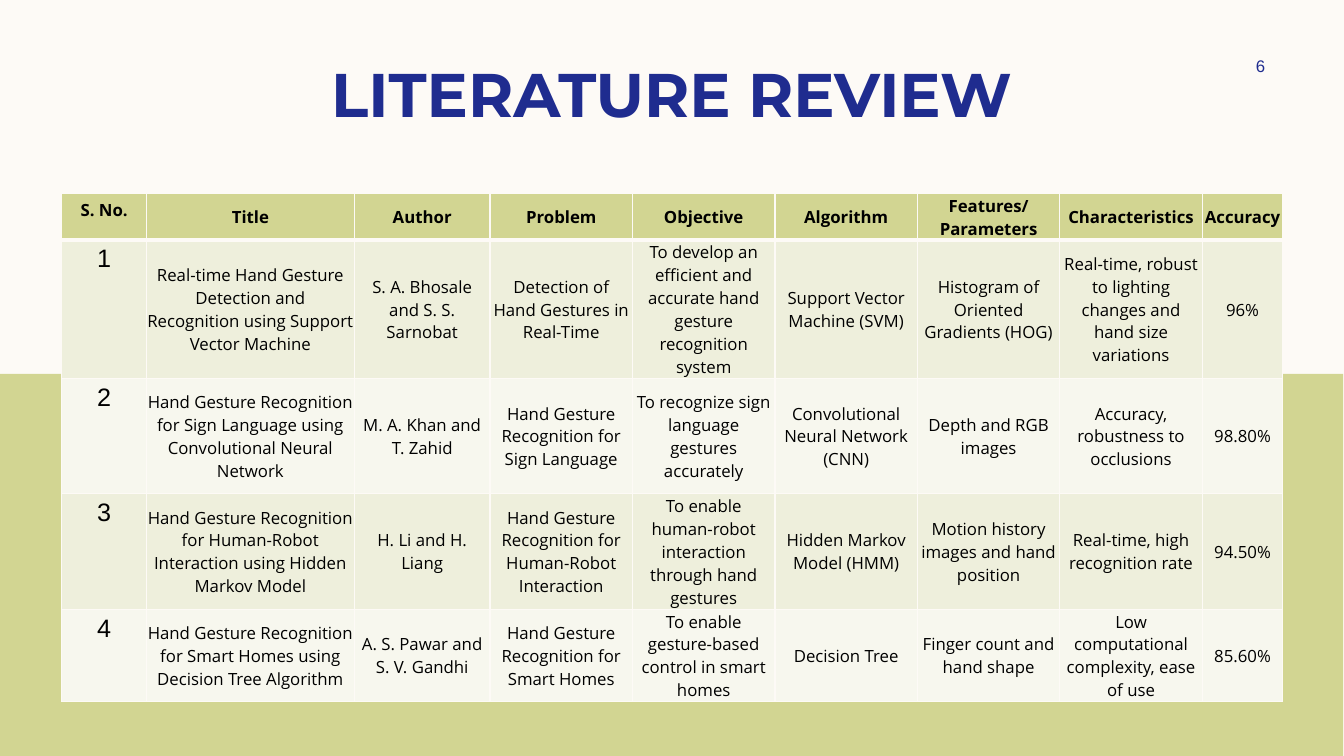
"""Build the literature review slide with its comparison table."""
from lxml import etree
from pptx import Presentation
from pptx import util as u
from pptx.dml import color
from pptx.enum import shapes, text
from pptx.oxml import ns

CREAM, OLIVE, NAVY, BLACK = "FDFAF6", "D2D592", "1F2C8F", "000000"
BANDS = ["EEEFDC", "F7F7EE"]
COLUMN_WIDTHS = [2.13, 5.24, 3.42] + [3.59] * 5 + [2.03]
ROW_HEIGHTS = [1.17, 3.48, 2.91, 2.91, 2.33]
HEADINGS = ["S. No.", "Title", "Author", "Problem", "Objective", "Algorithm",
            "Features/Parameters", "Characteristics", "Accuracy"]
STUDIES = [
    ["Real-time Hand Gesture Detection and Recognition using Support Vector Machine",
     "S. A. Bhosale and S. S. Sarnobat",
     "Detection of Hand Gestures in Real-Time",
     "To develop an efficient and accurate hand gesture recognition system",
     "Support Vector Machine (SVM)",
     "Histogram of Oriented Gradients (HOG)",
     "Real-time, robust to lighting changes and hand size variations",
     "96%"],
    ["Hand Gesture Recognition for Sign Language using Convolutional Neural Network",
     "M. A. Khan and T. Zahid",
     "Hand Gesture Recognition for Sign Language",
     "To recognize sign language gestures accurately",
     "Convolutional Neural Network (CNN)",
     "Depth and RGB images",
     "Accuracy, robustness to occlusions",
     "98.80%"],
    ["Hand Gesture Recognition for Human-Robot Interaction using Hidden Markov Model",
     "H. Li and H. Liang",
     "Hand Gesture Recognition for Human-Robot Interaction",
     "To enable human-robot interaction through hand gestures",
     "Hidden Markov Model (HMM)",
     "Motion history images and hand position",
     "Real-time, high recognition rate",
     "94.50%"],
    ["Hand Gesture Recognition for Smart Homes using Decision Tree Algorithm",
     "A. S. Pawar and S. V. Gandhi",
     "Hand Gesture Recognition for Smart Homes",
     "To enable gesture-based control in smart homes",
     "Decision Tree",
     "Finger count and hand shape",
     "Low computational complexity, ease of use",
     "85.60%"],
]


def paint(fill, value):
    fill.solid()
    fill.fore_color.rgb = color.RGBColor.from_string(value)


def write(frame, words, size, font, value, bold=False):
    para = frame.paragraphs[0]
    para.alignment = text.PP_ALIGN.CENTER
    span = para.add_run()
    span.text = words
    span.font.size = u.Pt(size)
    span.font.name = font
    span.font.bold = bold
    paint(span.font.fill, value)


def add_title(page, words):
    title = page.shapes.title
    title.left, title.top = u.Cm(2.11), u.Cm(1.27)
    title.width, title.height = u.Cm(29.64), u.Cm(2.13)
    title.text_frame.auto_size = text.MSO_AUTO_SIZE.NONE
    title.text_frame.vertical_anchor = text.MSO_ANCHOR.TOP
    write(title.text_frame, words, 44, "Montserrat", NAVY, True)


def add_page_number(page, number):
    box = page.shapes.add_textbox(u.Cm(30.4), u.Cm(1.27), u.Cm(2.74), u.Cm(0.76))
    box.text_frame.word_wrap = True
    box.text_frame.vertical_anchor = text.MSO_ANCHOR.MIDDLE
    write(box.text_frame, number, 12, "Arial", NAVY)


def add_band(page):
    band = page.shapes.add_shape(shapes.MSO_SHAPE.RECTANGLE,
                                 u.Cm(-0.08), u.Cm(9.42), u.Cm(33.93), u.Cm(9.63))
    band.shadow.inherit = False
    paint(band.fill, OLIVE)
    band.line.fill.background()


def add_borders(cell, bottom):
    properties = cell._tc.get_or_add_tcPr()
    for side, points in [("L", 1), ("R", 1), ("T", 1), ("B", bottom)]:
        line = etree.SubElement(properties, ns.qn("a:ln" + side), w=str(u.Pt(points)))
        fill = etree.SubElement(line, ns.qn("a:solidFill"))
        etree.SubElement(fill, ns.qn("a:srgbClr"), val=CREAM)


def fill_cell(cell, words, row, column):
    is_header = row == 0
    is_number = column == 0
    add_borders(cell, 3 if is_header else 1)
    paint(cell.fill, OLIVE if is_header else BANDS[(row - 1) % 2])
    if not is_number:
        cell.vertical_anchor = text.MSO_ANCHOR.MIDDLE
        cell.margin_left = cell.margin_right = cell.margin_top = u.Cm(0.02)
        cell.margin_bottom = 0
    size, font = (18, "Arial") if is_number and not is_header else (12, "Open Sans")
    write(cell.text_frame, words, size, font, BLACK, is_header)


def add_review_table(page):
    rows = [HEADINGS] + [[str(n), *study] for n, study in enumerate(STUDIES, 1)]
    table = page.shapes.add_table(len(rows), len(HEADINGS), u.Cm(1.56), u.Cm(4.88),
                                  u.Cm(sum(COLUMN_WIDTHS)), u.Cm(sum(ROW_HEIGHTS))).table
    table.first_row = table.horz_banding = False
    for column, width in zip(table.columns, COLUMN_WIDTHS):
        column.width = u.Cm(width)
    for row, height in zip(table.rows, ROW_HEIGHTS):
        row.height = u.Cm(height)
    for r, row in enumerate(rows):
        for c, words in enumerate(row):
            fill_cell(table.cell(r, c), words, r, c)


def main():
    deck = Presentation()
    deck.slide_width, deck.slide_height = u.Cm(33.87), u.Cm(19.05)
    page = deck.slides.add_slide(deck.slide_layouts[5])
    paint(page.background.fill, CREAM)
    add_band(page)
    add_title(page, "LITERATURE REVIEW")
    add_page_number(page, "6")
    add_review_table(page)
    deck.save("out.pptx")


main()
